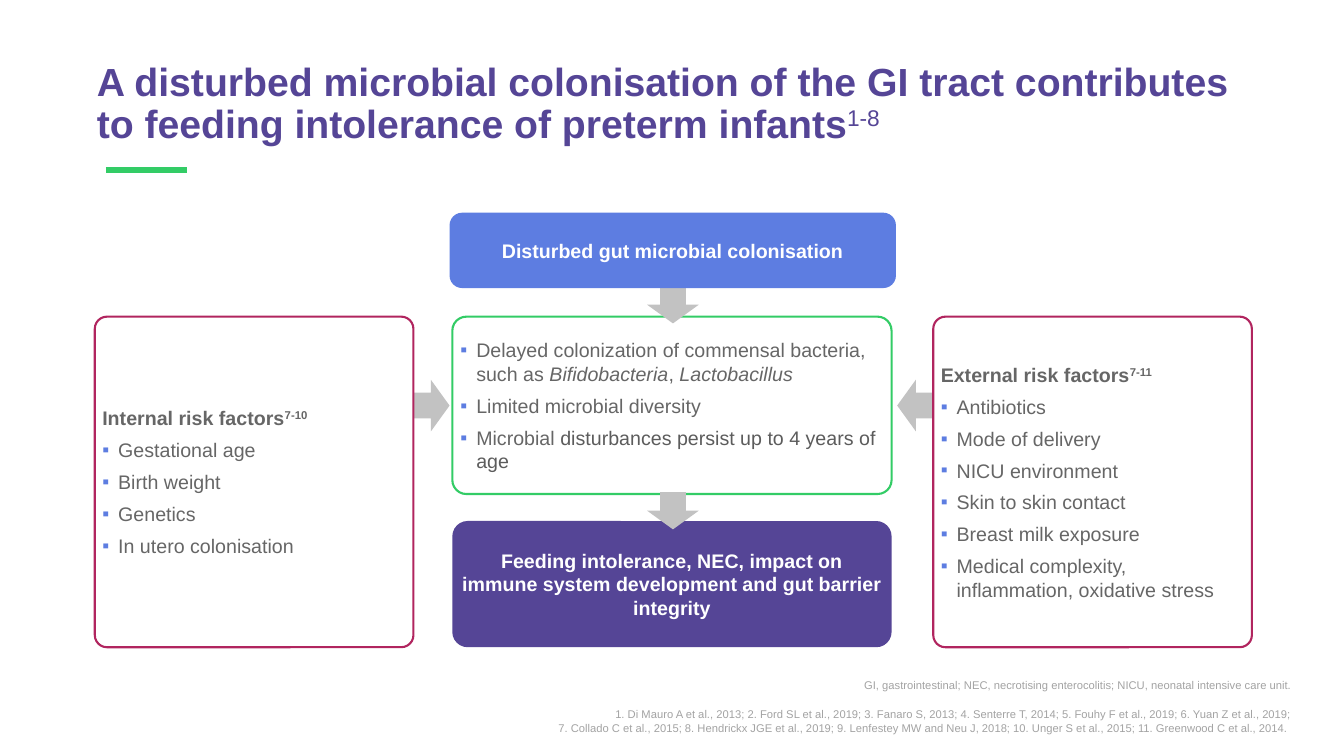
import lxml.etree
import pptx
import pptx.dml.color
import pptx.enum.shapes
import pptx.enum.text
import pptx.oxml.ns
import pptx.util

Cm, Pt = pptx.util.Cm, pptx.util.Pt
SHAPE = pptx.enum.shapes.MSO_SHAPE
ALIGN = pptx.enum.text.PP_ALIGN
ANCHOR = pptx.enum.text.MSO_ANCHOR
rgb = pptx.dml.color.RGBColor.from_string
qn = pptx.oxml.ns.qn

COLORS = {
    "purple": "554596", "blue": "5D7DE1", "green": "33CC66", "crimson": "B1255F",
    "arrow": "C2C2C2", "body": "666666", "dark": "5C5C5C", "note": "A3A3A3", "white": "FFFFFF",
}

presentation = pptx.Presentation()
presentation.slide_width, presentation.slide_height = Cm(33.87), Cm(19.05)
slide = presentation.slides.add_slide(presentation.slide_layouts[6])


def add_shape(kind, position, fill, line=None, corner=None):
    shape = slide.shapes.add_shape(kind, *map(Cm, position))
    shape.shadow.inherit = False
    shape.fill.solid()
    shape.fill.fore_color.rgb = rgb(COLORS[fill])
    if line:
        shape.line.color.rgb = rgb(COLORS[line])
        shape.line.width = Pt(1.5)
    else:
        shape.line.fill.background()
    if corner:
        shape.adjustments[0] = corner
    return shape


def write_text(shape, paragraphs, size, color, align=ALIGN.LEFT, anchor=ANCHOR.MIDDLE,
               bold=False, bullets_from=None, space_after=0, line_spacing=1.0):
    """Each paragraph is a list of (text, style); style is "", "super", "italic" or "dark"."""
    frame = shape.text_frame
    frame.word_wrap = True
    frame.vertical_anchor = anchor
    frame.margin_left = frame.margin_right = Cm(0.1)
    frame.margin_top = frame.margin_bottom = Cm(0.08)
    for index, runs in enumerate(paragraphs):
        paragraph = frame.paragraphs[0] if index == 0 else frame.add_paragraph()
        paragraph.alignment = align
        paragraph.space_after = Pt(space_after)
        paragraph.line_spacing = line_spacing
        bulleted = bullets_from is not None and index >= bullets_from
        if bulleted:
            properties = paragraph._p.get_or_add_pPr()
            properties.set("marL", str(Cm(0.4)))
            properties.set("indent", str(-Cm(0.4)))
            bullet_color = lxml.etree.SubElement(properties, qn("a:buClr"))
            lxml.etree.SubElement(bullet_color, qn("a:srgbClr"), val=COLORS["blue"])
            lxml.etree.SubElement(properties, qn("a:buFont"), typeface="Arial")
            lxml.etree.SubElement(properties, qn("a:buChar"), char="▪")
        paragraph.font.name = "Arial"
        paragraph.font.size = Pt(size)
        paragraph.font.bold = bold and not bulleted
        paragraph.font.color.rgb = rgb(COLORS[color])
        for text, style in runs:
            run = paragraph.add_run()
            run.text = text
            if style == "super":
                run._r.get_or_add_rPr().set("baseline", "30000")
            elif style == "italic":
                run.font.italic = True
            elif style == "dark":
                run.font.color.rgb = rgb(COLORS["dark"])


# Title with its accent line
title = slide.shapes.add_textbox(Cm(2.34), Cm(1.02), Cm(29.51), Cm(3.23))
write_text(title, [[
    ("A disturbed microbial colonisation of the GI tract contributes "
     "to feeding intolerance of preterm infants", ""), ("1-8", "super")]],
    28, "purple", bold=True, line_spacing=0.9)
title.text_frame.paragraphs[0].runs[1].font.bold = False

accent = slide.shapes.add_connector(
    pptx.enum.shapes.MSO_CONNECTOR.STRAIGHT, Cm(2.67), Cm(4.29), Cm(4.7), Cm(4.29))
accent.line.color.rgb = rgb(COLORS["green"])
accent.line.width = Pt(4)
lxml.etree.SubElement(accent._element.spPr, qn("a:effectLst"))

# Middle column: features and consequence
features = add_shape(SHAPE.ROUNDED_RECTANGLE, (11.4, 7.98, 11.07, 4.47), "white", "green", 0.079)
write_text(features, [
    [("Delayed colonization of commensal bacteria, such as ", ""),
     ("Bifidobacteria", "italic"), (", ", ""), ("Lactobacillus", "italic")],
    [("Limited microbial diversity", "")],
    [("Microbial ", ""), ("disturbances persist up to 4 years of age", "dark")],
], 14, "body", bullets_from=0, space_after=6)

consequence = add_shape(SHAPE.ROUNDED_RECTANGLE, (11.4, 13.13, 11.07, 3.18), "purple", corner=0.121)
write_text(consequence, [[("Feeding intolerance, NEC, impact on immune system development "
                           "and gut barrier integrity", "")]],
           14, "white", ALIGN.CENTER, bold=True)

# Arrows: down, down, right, left
for left, top, rotation in [(16.31, 7.21, 0), (16.31, 12.4, 0), (10.21, 9.75, 270), (22.43, 9.75, 90)]:
    add_shape(SHAPE.DOWN_ARROW, (left, top, 1.3, 0.94), "arrow").rotation = rotation

# Starting point
cause = add_shape(SHAPE.ROUNDED_RECTANGLE, (11.33, 5.36, 11.25, 1.9), "blue", corner=0.167)
write_text(cause, [[("Disturbed gut microbial colonisation", "")]],
           14, "white", ALIGN.CENTER, bold=True)

# Risk factors on both sides
RISK_FACTORS = [
    (2.39, "Internal risk factors", "7-10",
     ["Gestational age", "Birth weight", "Genetics", "In utero colonisation"]),
    (23.52, "External risk factors", "7-11",
     ["Antibiotics", "Mode of delivery", "NICU environment", "Skin to skin contact",
      "Breast milk exposure", "Medical complexity, inflammation, oxidative stress"]),
]
for left, heading, citation, factors in RISK_FACTORS:
    box = add_shape(SHAPE.ROUNDED_RECTANGLE, (left, 7.98, 8.03, 8.33), "white", "crimson", 0.038)
    write_text(box, [[(heading, ""), (citation, "super")]] + [[(factor, "")] for factor in factors],
               14, "body", bold=True, bullets_from=1, space_after=6)

# Abbreviations and references
abbreviations = slide.shapes.add_textbox(Cm(21.26), Cm(17.02), Cm(11.4), Cm(0.61))
write_text(abbreviations, [[("GI, gastrointestinal; NEC, necrotising enterocolitis; "
                             "NICU, neonatal intensive care unit.", "")]],
           8, "note", ALIGN.RIGHT, ANCHOR.TOP)

references = slide.shapes.add_textbox(Cm(11.07), Cm(17.7), Cm(21.59), Cm(0.94))
write_text(references, [
    [("1. Di Mauro A et al., 2013; 2. Ford SL et al., 2019; 3. Fanaro S, 2013; 4. Senterre T, 2014; "
      "5. Fouhy F et al., 2019; 6. Yuan Z et al., 2019;", "")],
    [("7. Collado C et al., 2015; 8. Hendrickx JGE et al., 2019; 9. Lenfestey MW and Neu J, 2018; "
      "10. Unger S et al., 2015; 11. Greenwood C et al., 2014. ", "")],
], 8, "note", ALIGN.RIGHT)

presentation.save("out.pptx")
